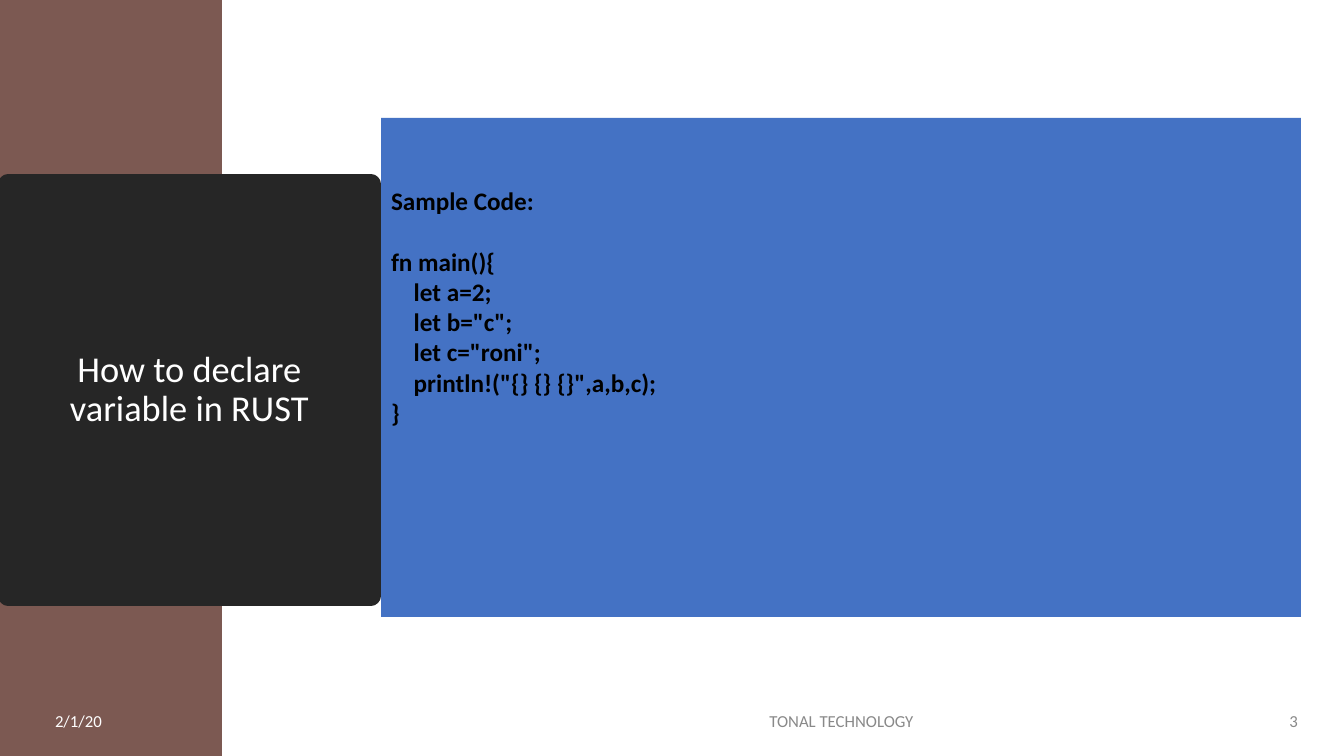
from lxml import etree
from pptx import Presentation
from pptx import util as u
from pptx.dml.color import RGBColor
from pptx.enum import shapes, text
from pptx.oxml.ns import qn

COLORS = {
    "band": "7C5952",
    "title": "262626",
    "panel": "4472C4",
    "white": "FFFFFF",
    "black": "000000",
    "grey": "898989",
}
ALIGN = text.PP_ALIGN
ANCHOR = text.MSO_ANCHOR
CODE = [
    "fn main(){",
    "    let a=2;",
    "    let b=\"c\";",
    "    let c=\"roni\";",
    "    println!(\"{} {} {}\",a,b,c);",
    "}",
]


def px(n):
    return u.Emu(round(n * 12192000 / 1344))


def rgb(name):
    return RGBColor.from_string(COLORS[name])


class Deck:
    font = "Calibri"

    def __init__(self):
        self.prs = Presentation()
        self.prs.slide_width, self.prs.slide_height = px(1344), px(756)
        self.s = self.prs.slides.add_slide(self.prs.slide_layouts[5])

    def place(self, sp, box):
        sp.left, sp.top, sp.width, sp.height = map(px, box)

    def frame(self, sp, anchor, margins=(10, 5, 10, 5)):
        tf = sp.text_frame
        tf.word_wrap = True
        tf.auto_size = text.MSO_AUTO_SIZE.NONE
        tf.vertical_anchor = anchor
        tf.margin_left, tf.margin_top, tf.margin_right, tf.margin_bottom = map(px, margins)
        return tf

    def run(self, p, words, size, color, align=ALIGN.LEFT, bold=False):
        p.alignment = align
        r = p.add_run()
        r.text = words
        r.font.name, r.font.size, r.font.bold = self.font, u.Pt(size), bold
        r.font.color.rgb = rgb(color)

    def rect(self, box, color):
        sp = self.s.shapes.add_shape(shapes.MSO_SHAPE.RECTANGLE, *map(px, box))
        sp.shadow.inherit = False
        sp.fill.solid()
        sp.fill.fore_color.rgb = rgb(color)
        sp.line.fill.background()
        return sp

    def title(self, box, words):
        sp = self.s.shapes.title
        self.place(sp, box)
        sp.fill.solid()
        sp.fill.fore_color.rgb = rgb("title")
        sp.line.color.rgb = rgb("title")
        sp.line.width = u.Pt(13.75)
        etree.SubElement(sp.element.spPr.find(qn("a:ln")), qn("a:round"))
        tree = sp.element.getparent()
        tree.remove(sp.element)
        tree.append(sp.element)
        p = self.frame(sp, ANCHOR.MIDDLE, (50, 5, 50, 5)).paragraphs[0]
        p.line_spacing = 0.9
        self.run(p, words, 26, "white", ALIGN.CENTER)

    def label(self, box, words, color, align):
        sp = self.s.shapes.add_textbox(*map(px, box))
        p = self.frame(sp, ANCHOR.MIDDLE).paragraphs[0]
        p.space_after = u.Pt(6)
        self.run(p, words, 12, color, align)

    def code(self, box, heading, lines):
        tf = self.frame(self.rect(box, "panel"), ANCHOR.TOP, (10, 67, 10, 5))
        self.run(tf.paragraphs[0], heading, 18, "black", bold=True)
        for i, line in enumerate(lines):
            p = tf.add_paragraph()
            if i == 0:
                p.space_before = u.Pt(22)
            self.run(p, line, 18, "black", bold=True)


def main():
    deck = Deck()
    deck.rect((0, 0, 222, 756), "band")
    deck.title((8, 184, 363, 412), "How to declare variable in RUST")
    for left, width, words, color, align in [
        (45, 163, "2/1/20", "white", ALIGN.LEFT),
        (454, 775, "TONAL TECHNOLOGY", "grey", ALIGN.CENTER),
        (1247, 61, "3", "grey", ALIGN.RIGHT),
    ]:
        deck.label((left, 701, width, 40), words, color, align)
    deck.code((381, 118, 920, 499), "Sample Code:", CODE)
    deck.prs.save("out.pptx")


if __name__ == "__main__":
    main()
